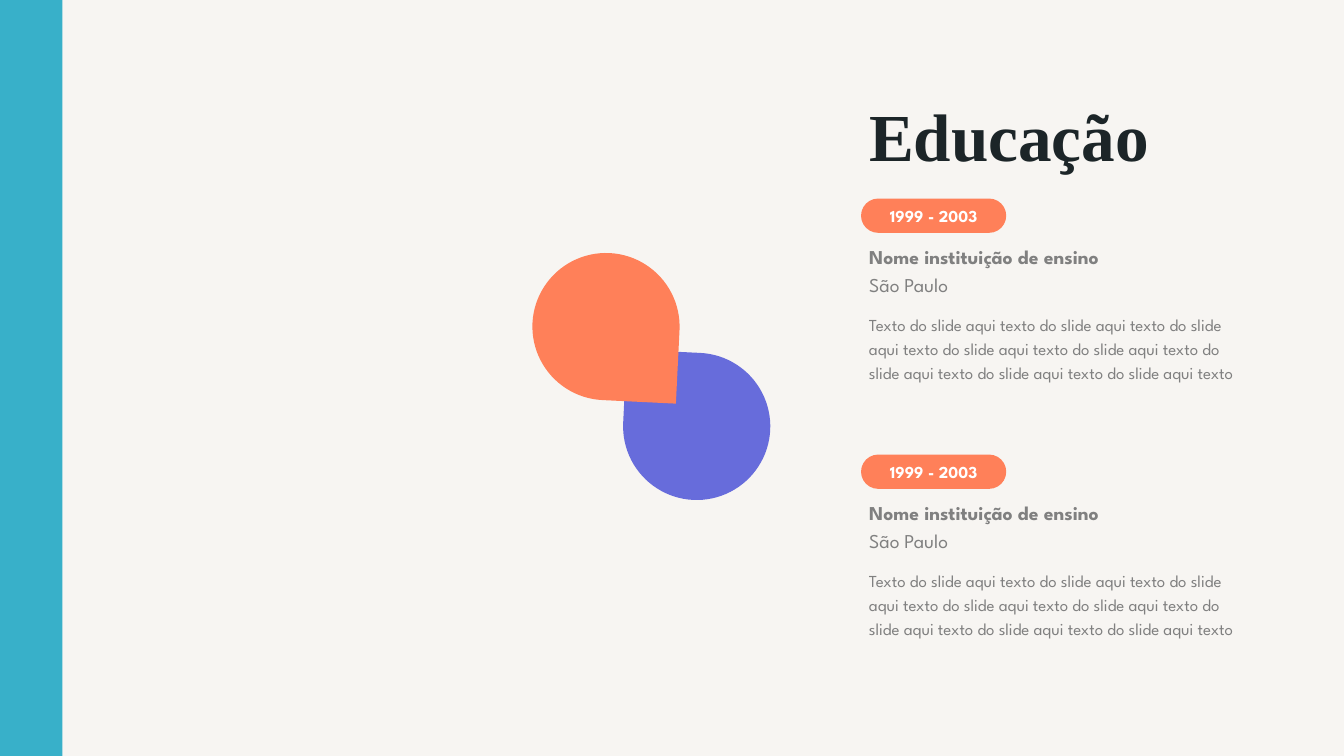
import pptx
import pptx.util
import pptx.dml.color
import pptx.enum.shapes
import pptx.enum.text
from pptx.util import Inches, Pt

COLORS = {
    "background": "F7F5F2",
    "teal": "38B0C9",
    "coral": "FF8059",
    "violet": "676CDB",
    "ink": "1C2528",
    "gray": "808080",
    "white": "FFFFFF",
}
SHAPES = pptx.enum.shapes.MSO_SHAPE
MIDDLE = pptx.enum.text.MSO_ANCHOR.MIDDLE
TEXT_LEFT = Inches(8.52)
PILL_LEFT = Inches(8.54)

deck = pptx.Presentation()
deck.slide_width = Inches(13.33)
deck.slide_height = Inches(7.5)
page = deck.slides.add_slide(deck.slide_layouts[5])
page.background.fill.solid()
page.background.fill.fore_color.rgb = pptx.dml.color.RGBColor.from_string(COLORS["background"])


def add_filled(kind, left, top, width, height, color):
    shape = page.shapes.add_shape(kind, left, top, width, height)
    shape.shadow.inherit = False
    shape.fill.solid()
    shape.fill.fore_color.rgb = pptx.dml.color.RGBColor.from_string(COLORS[color])
    shape.line.fill.background()
    return shape


def add_span(para, text, size, color, bold=False, font="League Spartan"):
    span = para.add_run()
    span.text = text
    span.font.name = font
    span.font.size = Pt(size)
    span.font.bold = bold
    span.font.color.rgb = pptx.dml.color.RGBColor.from_string(COLORS[color])


add_filled(SHAPES.RECTANGLE, 0, 0, Inches(0.62), deck.slide_height, "teal")

title = page.shapes.title
title.left, title.top = TEXT_LEFT, Inches(0.71)
title.width, title.height = Inches(3.15), Inches(1.08)
title.text_frame.auto_size = pptx.enum.text.MSO_AUTO_SIZE.NONE
title.text_frame.vertical_anchor = MIDDLE
title_para = title.text_frame.paragraphs[0]
title_para.alignment = pptx.enum.text.PP_ALIGN.LEFT
title_para.line_spacing = Pt(70)
add_span(title_para, "Educação", 48, "ink", True, "Times New Roman")

for entry_top in (1.97, 4.51):
    pill = add_filled(SHAPES.ROUNDED_RECTANGLE, PILL_LEFT, Inches(entry_top),
                      Inches(1.44), Inches(0.34), "coral")
    pill.adjustments[0] = 0.5
    pill.text_frame.vertical_anchor = MIDDLE
    pill_para = pill.text_frame.paragraphs[0]
    pill_para.alignment = pptx.enum.text.PP_ALIGN.CENTER
    add_span(pill_para, "1999 - 2003", 12, "white", True)

    school = page.shapes.add_textbox(PILL_LEFT, Inches(entry_top + 0.44), Inches(3.61), Inches(0.64))
    frame = school.text_frame
    frame.word_wrap = True
    frame.vertical_anchor = MIDDLE
    frame.margin_left = frame.margin_right = Inches(0.08)
    frame.margin_top = frame.margin_bottom = 0
    name_para = frame.paragraphs[0]
    city_para = frame.add_paragraph()
    city_para.space_before = Pt(10)
    name_para.line_spacing = city_para.line_spacing = Pt(10)
    add_span(name_para, "Nome instituição de ensino", 14, "gray", True)
    add_span(city_para, "São Paulo", 14, "gray")

    details = page.shapes.add_textbox(TEXT_LEFT, Inches(entry_top + 1.06), Inches(3.86), Inches(1.08))
    details.text_frame.word_wrap = True
    details_para = details.text_frame.paragraphs[0]
    details_para.line_spacing = 1.2
    add_span(details_para, "Texto do slide aqui" + " texto do slide aqui" * 7 + " texto", 12, "gray")

for left, top, rotation, color in ((6.18, 3.5, 272.8, "violet"), (5.28, 2.51, 92.8, "coral")):
    drop = add_filled(SHAPES.TEAR, Inches(left), Inches(top), Inches(1.46), Inches(1.46), color)
    drop.rotation = rotation

deck.save("out.pptx")
